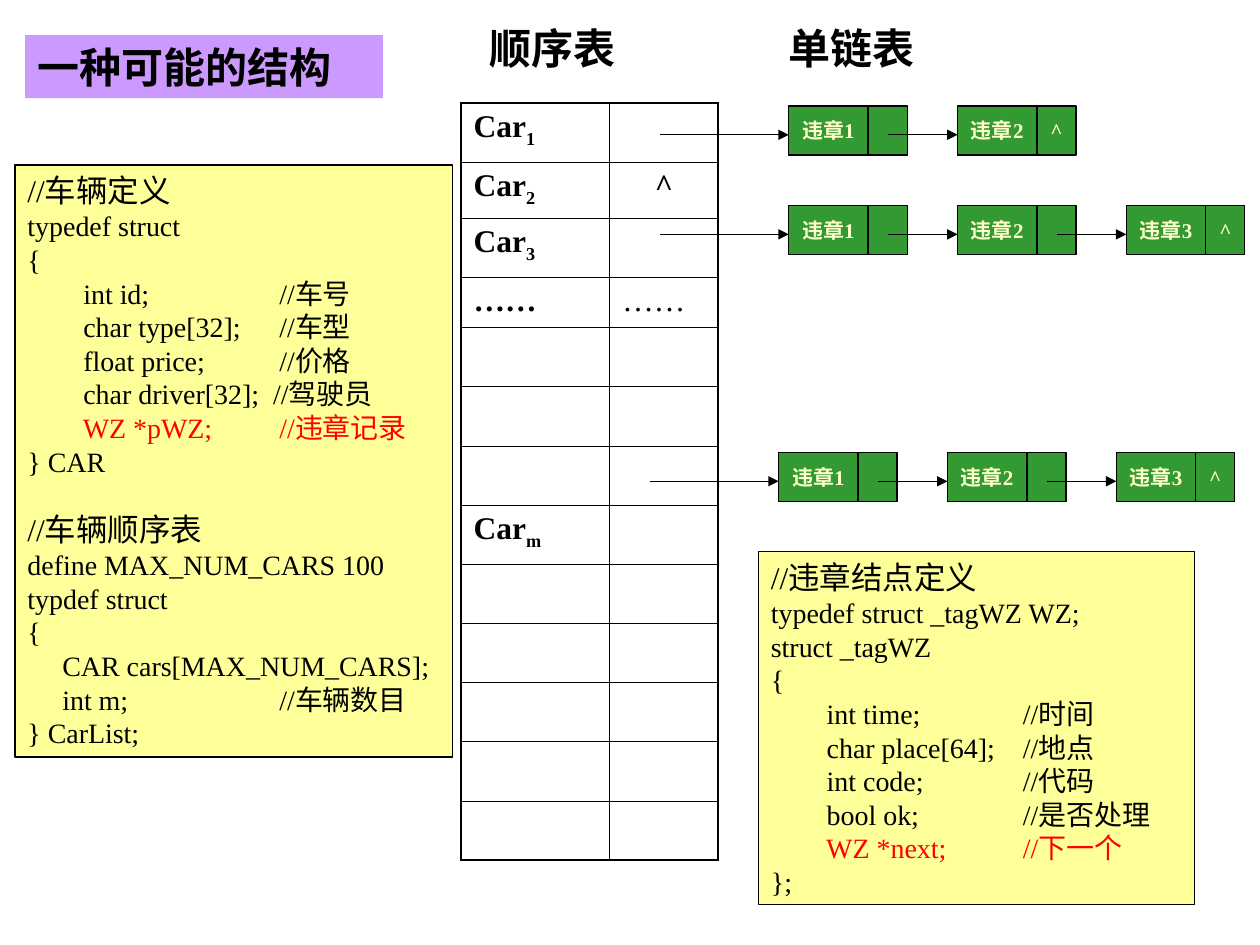
from dataclasses import dataclass

from lxml import etree
from pptx import Presentation
from pptx.dml.color import RGBColor
from pptx.enum.shapes import MSO_CONNECTOR, MSO_SHAPE
from pptx.enum.text import MSO_ANCHOR, MSO_AUTO_SIZE, PP_ALIGN
from pptx.oxml.ns import qn
from pptx.util import Inches, Pt

RECTANGLE = MSO_SHAPE.RECTANGLE
STRAIGHT = MSO_CONNECTOR.STRAIGHT
TOP, MIDDLE = MSO_ANCHOR.TOP, MSO_ANCHOR.MIDDLE
GROW, FIXED = MSO_AUTO_SIZE.SHAPE_TO_FIT_TEXT, MSO_AUTO_SIZE.NONE
LEFT, CENTER = PP_ALIGN.LEFT, PP_ALIGN.CENTER


@dataclass(frozen=True)
class Theme:
    font: str = "Times New Roman"
    ink: str = "000000"
    accent: str = "FF0000"
    title_fill: str = "CC99FF"
    code_fill: str = "FFFF99"
    node_fill: str = "339933"
    node_ink: str = "FFFFCC"
    title_size: int = 24
    body_size: int = 18
    code_size: int = 16
    node_size: int = 12
    thin: float = 0.45
    line: float = 0.75
    thick: float = 1.08


THEME = Theme()
STYLES = {
    "title": (THEME.title_size, THEME.ink, True),
    "cell": (THEME.body_size, THEME.ink, True),
    "dots": (THEME.body_size, THEME.ink, False),
    "note": (THEME.body_size, THEME.ink, False),
    "code": (THEME.code_size, THEME.ink, False),
    "pointer": (THEME.code_size, THEME.accent, False),
    "node": (THEME.node_size, THEME.node_ink, True),
}

TITLE = ("一种可能的结构", (0.2, 0.28, 2.84, 0.5))
HEADINGS = [
    ("顺序表", (3.79, 0.13, 1.36, 0.5)),
    ("单链表", (6.16, 0.13, 1.44, 0.5)),
]
CODE_BLOCKS = [
    ((0.12, 1.31, 3.47, 4.7), [
        ("note", "//车辆定义"),
        ("code", "typedef struct"),
        ("code", "{"),
        ("code", "        int id;\t//车号"),
        ("code", "        char type[32];\t//车型"),
        ("code", "        float price;\t//价格"),
        ("code", "        char driver[32];  //驾驶员"),
        ("pointer", "        WZ *pWZ;\t//违章记录"),
        ("code", "} CAR"),
        ("note", "//车辆顺序表"),
        ("code", "define MAX_NUM_CARS 100"),
        ("code", "typdef struct"),
        ("code", "{"),
        ("code", "     CAR cars[MAX_NUM_CARS];"),
        ("code", "     int m;\t//车辆数目"),
        ("code", "} CarList;"),
    ]),
    ((6.02, 4.38, 3.46, 2.8), [
        ("note", "//违章结点定义"),
        ("code", "typedef struct _tagWZ WZ;"),
        ("code", "struct _tagWZ"),
        ("code", "{"),
        ("code", "        int time;\t//时间"),
        ("code", "        char place[64];\t//地点"),
        ("code", "        int code;\t//代码"),
        ("code", "        bool ok;\t//是否处理"),
        ("pointer", "        WZ *next;\t//下一个"),
        ("code", "};"),
    ]),
]
CAR_ROWS = {0: "1", 1: "2", 2: "3", 7: "m"}
NULL, DOTS = "^", "……"
NULL_ROW, DOTS_ROW = 1, 3
TABLE_AT = (3.66, 0.82)
COLUMNS = (1.18, 0.86)
ROWS = [0.47, 0.44, 0.47, 0.4] + [0.47] * 9
CHAINS = [(6.26, 0.84, 2), (6.26, 1.63, 3), (6.18, 3.59, 3)]
VALUE_WIDTH, LINK_WIDTH, NODE_HEIGHT = 0.63, 0.31, 0.39
NODE_PITCH, HEAD_REACH, LINK_START, ARROW_DROP = 1.34, 1.02, 0.79, 0.23
COMMENT_TAB, SECTION_GAP = 2, 18.5


def add_run(paragraph, text, style, subscript=False):
    """Add one styled run to a paragraph."""
    size, color, bold = STYLES[style]
    run = paragraph.add_run()
    run.text = text
    run.font.name = THEME.font
    run.font.size = Pt(size)
    run.font.bold = bold
    run.font.color.rgb = RGBColor.from_string(color)
    if subscript:
        run.font._element.set("baseline", "-25000")


def add_box(slide, area, fill=None, outlined=False):
    """Add a rectangle with optional fill and outline."""
    box = slide.shapes.add_shape(RECTANGLE, *map(Inches, area))
    box.shadow.inherit = False
    box.fill.solid()
    box.fill.fore_color.rgb = RGBColor.from_string(fill)
    if outlined:
        box.line.color.rgb = RGBColor.from_string(THEME.ink)
        box.line.width = Pt(THEME.line)
    else:
        box.line.fill.background()
    return box


def write_lines(shape, lines, align=LEFT, anchor=TOP, wrap=True, fit=GROW):
    """Fill a shape with one paragraph for each styled line."""
    frame = shape.text_frame
    frame.word_wrap, frame.auto_size, frame.vertical_anchor = wrap, fit, anchor
    for index, (style, text) in enumerate(lines):
        paragraph = frame.add_paragraph() if index else frame.paragraphs[0]
        paragraph.alignment = align
        if index and style == "note":
            paragraph.space_before = Pt(SECTION_GAP)
        if "\t" in text:
            stops = etree.SubElement(paragraph._p.get_or_add_pPr(), qn("a:tabLst"))
            etree.SubElement(stops, qn("a:tab"), pos=str(Inches(COMMENT_TAB)), algn="l")
        add_run(paragraph, text, style)


def add_arrow(slide, start, end, y):
    """Draw a horizontal arrow."""
    arrow = slide.shapes.add_connector(STRAIGHT, *map(Inches, (start, y, end, y)))
    arrow.line.color.rgb = RGBColor.from_string(THEME.ink)
    arrow.line.width = Pt(THEME.line)
    etree.SubElement(arrow.line._get_or_add_ln(), qn("a:tailEnd"), type="triangle")
    etree.SubElement(arrow._element.spPr, qn("a:effectLst"))


def add_chain(slide, left, top, count):
    """Draw a linked list with its incoming arrow."""
    arrow_y = top + ARROW_DROP
    add_arrow(slide, left - HEAD_REACH, left, arrow_y)
    for index in range(count):
        x = left + index * NODE_PITCH
        last = index == count - 1
        parts = [(x, VALUE_WIDTH, f"违章{index + 1}"),
                 (x + VALUE_WIDTH, LINK_WIDTH, NULL if last else "")]
        for part_x, width, label in parts:
            node = add_box(slide, (part_x, top, width, NODE_HEIGHT), THEME.node_fill, True)
            if label:
                write_lines(node, [("node", label)], CENTER, MIDDLE, False, FIXED)
        if not last:
            add_arrow(slide, x + LINK_START, x + NODE_PITCH, arrow_y)


def border_cell(cell, row, column):
    """Give a cell thick outer and thin inner borders."""
    outer = {"L": column == 0, "R": column == len(COLUMNS) - 1,
             "T": row == 0, "B": row == len(ROWS) - 1}
    properties = cell._tc.get_or_add_tcPr()
    for position, (side, is_outer) in enumerate(outer.items()):
        width = Pt(THEME.thick if is_outer else THEME.thin)
        border = etree.Element(qn(f"a:ln{side}"), w=str(width))
        fill = etree.SubElement(border, qn("a:solidFill"))
        etree.SubElement(fill, qn("a:srgbClr"), val=THEME.ink)
        properties.insert(position, border)


def add_car_table(slide):
    """Build the sequential list of cars."""
    size = (sum(COLUMNS), sum(ROWS))
    cars = slide.shapes.add_table(
        len(ROWS), len(COLUMNS), *map(Inches, TABLE_AT + size)).table
    cars.first_row = cars.horz_banding = False
    for column, width in enumerate(COLUMNS):
        cars.columns[column].width = Inches(width)
    for row, height in enumerate(ROWS):
        cars.rows[row].height = Inches(height)
        for column in range(len(COLUMNS)):
            cars.cell(row, column).fill.background()
            border_cell(cars.cell(row, column), row, column)
    for row, subscript in CAR_ROWS.items():
        paragraph = cars.cell(row, 0).text_frame.paragraphs[0]
        add_run(paragraph, "Car", "cell")
        add_run(paragraph, subscript, "cell", subscript=True)
    null_mark = cars.cell(NULL_ROW, 1).text_frame.paragraphs[0]
    null_mark.alignment = CENTER
    add_run(null_mark, NULL, "cell")
    for column, style in enumerate(("cell", "dots")):
        add_run(cars.cell(DOTS_ROW, column).text_frame.paragraphs[0], DOTS, style)


def main():
    """Build the slide and save it."""
    deck = Presentation()
    deck.slide_width, deck.slide_height = Inches(10), Inches(7.5)
    slide = deck.slides.add_slide(deck.slide_layouts[6])
    add_car_table(slide)
    for chain in CHAINS:
        add_chain(slide, *chain)
    for heading, area in HEADINGS:
        write_lines(slide.shapes.add_textbox(*map(Inches, area)), [("title", heading)])
    for area, lines in CODE_BLOCKS:
        write_lines(add_box(slide, area, THEME.code_fill, True), lines)
    title, area = TITLE
    write_lines(add_box(slide, area, THEME.title_fill), [("title", title)])
    deck.save("out.pptx")


if __name__ == "__main__":
    main()
